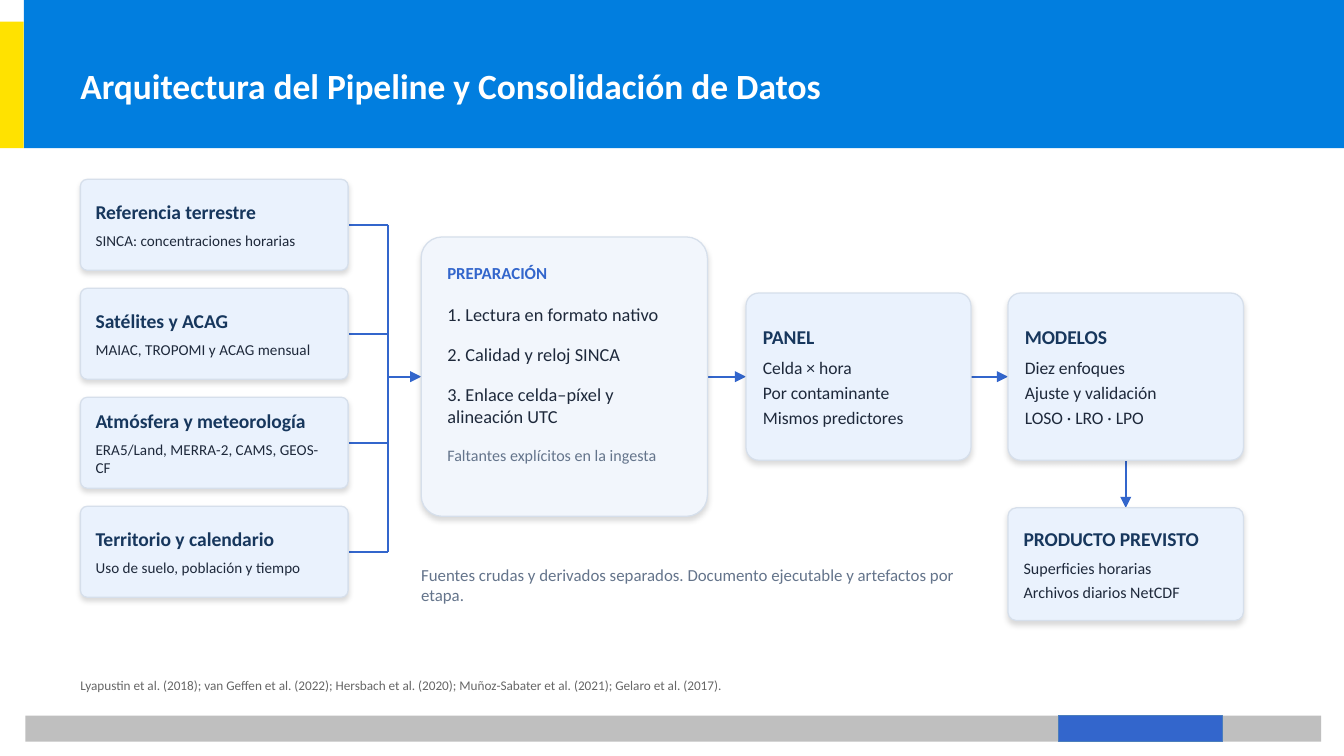
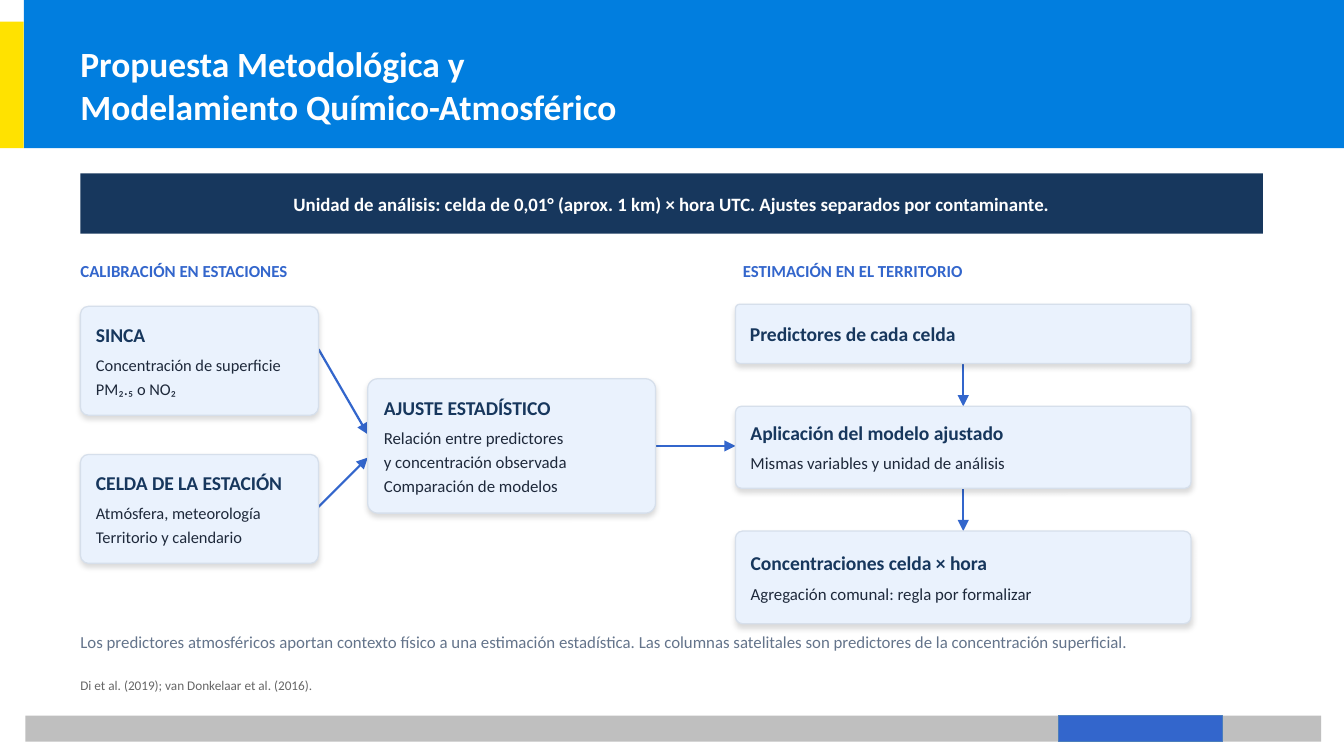
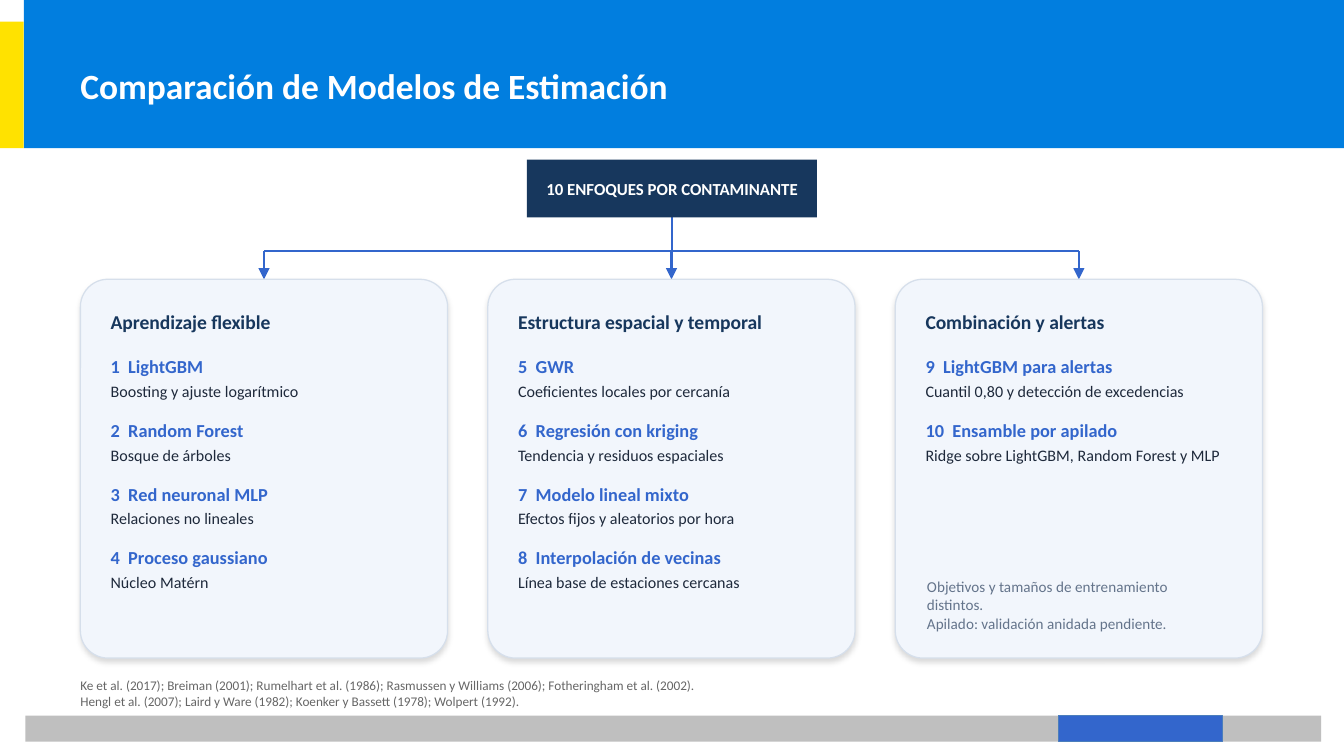
import dataclasses

import lxml.etree
import pptx
import pptx.dml.color
import pptx.enum.shapes
import pptx.enum.text
import pptx.oxml.ns
import pptx.util

Cm = pptx.util.Cm
Pt = pptx.util.Pt
RGBColor = pptx.dml.color.RGBColor
SHAPES = pptx.enum.shapes.MSO_SHAPE
ANCHOR = pptx.enum.text.MSO_ANCHOR
ALIGN = pptx.enum.text.PP_ALIGN
qn = pptx.oxml.ns.qn

# Shared style
FONT = "Calibri"
WHITE = RGBColor(0xFF, 0xFF, 0xFF)
BAND_BLUE = RGBColor(0x01, 0x7E, 0xDF)
YELLOW = RGBColor(0xFF, 0xE2, 0x00)
GREY = RGBColor(0xBF, 0xBF, 0xBF)
ACCENT = RGBColor(0x33, 0x66, 0xCC)
TAB_EDGE = RGBColor(0x4B, 0x7E, 0xBC)
NAVY = RGBColor(0x17, 0x37, 0x5D)
INK = RGBColor(0x1E, 0x29, 0x3B)
SLATE = RGBColor(0x64, 0x74, 0x8B)
REFERENCE = RGBColor(0x66, 0x66, 0x66)
CARD_FILL = RGBColor(0xEA, 0xF2, 0xFD)
PANEL_FILL = RGBColor(0xF2, 0xF6, 0xFC)
CARD_EDGE = RGBColor(0xD6, 0xDF, 0xEB)
LEFT = 1.52
CARD_INSET = 0.25


@dataclasses.dataclass
class Area:
    """A rectangle in centimetres."""
    left: float
    top: float
    width: float
    height: float

    @property
    def right(self):
        return self.left + self.width

    @property
    def bottom(self):
        return self.top + self.height

    @property
    def center(self):
        return self.left + self.width / 2

    @property
    def middle(self):
        return self.top + self.height / 2

    def lengths(self):
        return [Cm(value) for value in dataclasses.astuple(self)]


# Content: pipeline
PIPELINE_TITLE = ["Arquitectura del Pipeline y Consolidación de Datos"]
SOURCES = [
    ("Referencia terrestre", ["SINCA: concentraciones horarias"]),
    ("Satélites y ACAG", ["MAIAC, TROPOMI y ACAG mensual"]),
    ("Atmósfera y meteorología", ["ERA5/Land, MERRA-2, CAMS, GEOS-CF"]),
    ("Territorio y calendario", ["Uso de suelo, población y tiempo"]),
]
PREPARATION = "PREPARACIÓN"
PREPARATION_STEPS = [
    "1. Lectura en formato nativo",
    "2. Calidad y reloj SINCA",
    "3. Enlace celda–píxel y alineación UTC",
]
PREPARATION_NOTE = "Faltantes explícitos en la ingesta"
PANEL = ("PANEL", ["Celda × hora", "Por contaminante", "Mismos predictores"])
MODELS = ("MODELOS", ["Diez enfoques", "Ajuste y validación", "LOSO · LRO · LPO"])
PRODUCT = ("PRODUCTO PREVISTO", ["Superficies horarias", "Archivos diarios NetCDF"])
PIPELINE_NOTE = ("Fuentes crudas y derivados separados. "
                 "Documento ejecutable y artefactos por etapa.")
PIPELINE_REFERENCES = [
    "Lyapustin et al. (2018); van Geffen et al. (2022); Hersbach et al. (2020); "
    "Muñoz-Sabater et al. (2021); Gelaro et al. (2017).",
]

# Content: method
METHOD_TITLE = ["Propuesta Metodológica y", "Modelamiento Químico-Atmosférico"]
UNIT = ("Unidad de análisis: celda de 0,01° (aprox. 1 km) × hora UTC. "
        "Ajustes separados por contaminante.")
CALIBRATION = "CALIBRACIÓN EN ESTACIONES"
ESTIMATION = "ESTIMACIÓN EN EL TERRITORIO"
STATION = ("SINCA", ["Concentración de superficie", "PM₂.₅ o NO₂"])
STATION_CELL = ("CELDA DE LA ESTACIÓN",
                ["Atmósfera, meteorología", "Territorio y calendario"])
FIT = ("AJUSTE ESTADÍSTICO", ["Relación entre predictores",
                              "y concentración observada",
                              "Comparación de modelos"])
ESTIMATION_STEPS = [  # height, card
    (1.12, ("Predictores de cada celda", [])),
    (1.55, ("Aplicación del modelo ajustado", ["Mismas variables y unidad de análisis"])),
    (1.75, ("Concentraciones celda × hora", ["Agregación comunal: regla por formalizar"])),
]
METHOD_NOTE = ("Los predictores atmosféricos aportan contexto físico a una estimación "
               "estadística. Las columnas satelitales son predictores de la "
               "concentración superficial.")
METHOD_REFERENCES = ["Di et al. (2019); van Donkelaar et al. (2016)."]

# Content: model comparison
COMPARISON_TITLE = ["Comparación de Modelos de Estimación"]
APPROACHES = "10 ENFOQUES POR CONTAMINANTE"
FAMILIES = [
    ("Aprendizaje flexible", [
        ("1  LightGBM", "Boosting y ajuste logarítmico"),
        ("2  Random Forest", "Bosque de árboles"),
        ("3  Red neuronal MLP", "Relaciones no lineales"),
        ("4  Proceso gaussiano", "Núcleo Matérn"),
    ]),
    ("Estructura espacial y temporal", [
        ("5  GWR", "Coeficientes locales por cercanía"),
        ("6  Regresión con kriging", "Tendencia y residuos espaciales"),
        ("7  Modelo lineal mixto", "Efectos fijos y aleatorios por hora"),
        ("8  Interpolación de vecinas", "Línea base de estaciones cercanas"),
    ]),
    ("Combinación y alertas", [
        ("9  LightGBM para alertas", "Cuantil 0,80 y detección de excedencias"),
        ("10  Ensamble por apilado", "Ridge sobre LightGBM, Random Forest y MLP"),
    ]),
]
COMPARISON_NOTES = ["Objetivos y tamaños de entrenamiento distintos.",
                    "Apilado: validación anidada pendiente."]
COMPARISON_REFERENCES = [
    "Ke et al. (2017); Breiman (2001); Rumelhart et al. (1986); "
    "Rasmussen y Williams (2006); Fotheringham et al. (2002).",
    "Hengl et al. (2007); Laird y Ware (1982); Koenker y Bassett (1978); Wolpert (1992).",
]


# Drawing helpers
def write(box, text, size=9, color=INK, bold=False, after=0, align=ALIGN.LEFT):
    """Put text in the empty first paragraph, or in a new one."""
    frame = box.text_frame
    para = frame.paragraphs[0] if not frame.text else frame.add_paragraph()
    para.alignment = align
    para.space_after = Pt(after)
    span = para.add_run()
    span.text = text
    span.font.name = FONT
    span.font.size = Pt(size)
    span.font.bold = bold
    span.font.color.rgb = color


def prepare_frame(box, inset, anchor):
    frame = box.text_frame
    frame.word_wrap = True
    frame.vertical_anchor = anchor
    frame.margin_left = frame.margin_right = Cm(inset)
    frame.margin_top = frame.margin_bottom = Cm(inset)


def add_text(page, area, lines, anchor=ANCHOR.TOP, **style):
    box = page.shapes.add_textbox(*area.lengths())
    prepare_frame(box, 0, anchor)
    for line in lines:
        write(box, line, **style)


def add_block(page, area, fill, edge=None, edge_width=0.75, kind=SHAPES.RECTANGLE,
              inset=CARD_INSET, anchor=ANCHOR.MIDDLE):
    box = page.shapes.add_shape(kind, *area.lengths())
    box.fill.solid()
    box.fill.fore_color.rgb = fill
    if edge is None:
        box.line.fill.background()
    else:
        box.line.color.rgb = edge
        box.line.width = Pt(edge_width)
    box.shadow.inherit = False
    prepare_frame(box, inset, anchor)
    return box


def add_rounded(page, area, fill, **layout):
    """Rounded block with a soft shadow below it."""
    box = add_block(page, area, fill, CARD_EDGE, 0.68, SHAPES.ROUNDED_RECTANGLE, **layout)
    box.adjustments[0] = 0.075
    effects = box._element.spPr.find(qn("a:effectLst"))
    shadow = lxml.etree.SubElement(
        effects, qn("a:outerShdw"), blurRad=str(Pt(3)), dist=str(Pt(1.8)),
        dir="5400000", algn="t", rotWithShape="0")
    black = lxml.etree.SubElement(shadow, qn("a:srgbClr"), val="000000")
    lxml.etree.SubElement(black, qn("a:alpha"), val="14000")
    return box


def add_card(page, area, card, size=9):
    heading, details = card
    box = add_rounded(page, area, CARD_FILL)
    write(box, heading, size=10.5, color=NAVY, bold=True, after=4.5)
    for detail in details:
        write(box, detail, size=size, after=2.2)


def add_banner(page, area, text, size):
    write(add_block(page, area, NAVY), text, size=size, color=WHITE, bold=True,
          align=ALIGN.CENTER)


def add_line(page, start, end, arrow=False):
    line = page.shapes.add_connector(
        pptx.enum.shapes.MSO_CONNECTOR.STRAIGHT, *[Cm(value) for value in start + end])
    line.line.color.rgb = ACCENT
    line.line.width = Pt(1.2)
    properties = line._element.spPr
    if arrow:
        lxml.etree.SubElement(properties.find(qn("a:ln")), qn("a:tailEnd"), type="triangle")
    lxml.etree.SubElement(properties, qn("a:effectLst"))


def add_page(deck, title, references):
    """Page with bands, title, footer and references."""
    page = deck.slides.add_slide(deck.slide_layouts[6])
    add_block(page, Area(0.45, 0, 24.95, 2.8), BAND_BLUE)
    add_block(page, Area(0, 0.41, 0.45, 2.39), YELLOW)
    add_block(page, Area(0.48, 13.53, 24.49, 0.49), GREY)
    add_block(page, Area(20.01, 13.53, 3.1, 0.49), ACCENT, TAB_EDGE)
    add_text(page, Area(LEFT, 0.41, 22.35, 2.39), title, anchor=ANCHOR.MIDDLE,
             size=19, color=WHITE, bold=True)
    add_text(page, Area(LEFT, 12.81, 22.48, 0.63), references, size=7.1, color=REFERENCE)
    return page


# Pages
def build_pipeline(deck):
    page = add_page(deck, PIPELINE_TITLE, PIPELINE_REFERENCES)
    sources = [Area(LEFT, 3.39 + 2.06 * row, 5.06, 1.72) for row in range(len(SOURCES))]
    preparation = Area(7.96, 4.48, 5.41, 5.28)
    panel = Area(14.1, 5.54, 4.25, 3.16)
    models = Area(19.05, 5.54, 4.45, 3.16)
    product = Area(19.05, 9.6, 4.45, 2.13)

    # Sources meet on a bus, then the stages follow
    bus = 7.34
    flow = preparation.middle
    for source in sources:
        add_line(page, (source.right, source.middle), (bus, source.middle))
    add_line(page, (bus, sources[0].middle), (bus, sources[-1].middle))
    stops = [(bus, preparation.left), (preparation.right, panel.left),
             (panel.right, models.left)]
    for start, end in stops:
        add_line(page, (start, flow), (end, flow), arrow=True)
    add_line(page, (models.center, models.bottom), (product.center, product.top), arrow=True)

    for area, source in zip(sources, SOURCES):
        add_card(page, area, source, size=8.1)
    box = add_rounded(page, preparation, PANEL_FILL, inset=0.38, anchor=ANCHOR.TOP)
    write(box, PREPARATION, color=ACCENT, bold=True, after=10.5)
    for step in PREPARATION_STEPS:
        write(box, step, size=9.8, after=9.8)
    write(box, PREPARATION_NOTE, size=8.6, color=SLATE)
    add_card(page, panel, PANEL, size=9.4)
    add_card(page, models, MODELS, size=9.4)
    add_card(page, product, PRODUCT, size=8.6)
    add_text(page, Area(preparation.left, 10.67, 10.39, 1.22), [PIPELINE_NOTE], color=SLATE)


def build_method(deck):
    page = add_page(deck, METHOD_TITLE, METHOD_REFERENCES)
    add_banner(page, Area(LEFT, 3.28, 22.35, 1.14), UNIT, 10.1)
    for left, heading in [(LEFT, CALIBRATION), (14.04, ESTIMATION)]:
        add_text(page, Area(left, 4.93, 9.5, 0.6), [heading], color=ACCENT, bold=True)

    station = Area(LEFT, 5.79, 4.5, 2.06)
    cell = Area(LEFT, 8.59, 4.5, 2.06)
    fit = Area(6.95, 7.16, 5.44, 2.54)
    steps = []
    top = 5.75
    for height, _ in ESTIMATION_STEPS:
        steps.append(Area(13.9, top, 8.61, height))
        top += height + 0.81

    add_line(page, (station.right, 6.6), (fit.left, fit.middle - 0.22), arrow=True)
    add_line(page, (cell.right, 9.58), (fit.left, fit.middle + 0.22), arrow=True)
    add_line(page, (fit.right, fit.middle), (steps[1].left, fit.middle), arrow=True)
    for upper, lower in zip(steps, steps[1:]):
        add_line(page, (upper.center, upper.bottom), (lower.center, lower.top), arrow=True)

    add_card(page, station, STATION, size=8.8)
    add_card(page, cell, STATION_CELL, size=8.8)
    add_card(page, fit, FIT)
    for area, (_, card) in zip(steps, ESTIMATION_STEPS):
        add_card(page, area, card)
    add_text(page, Area(LEFT, 11.94, 22.3, 0.99), [METHOD_NOTE], color=SLATE)


def build_comparison(deck):
    page = add_page(deck, COMPARISON_TITLE, COMPARISON_REFERENCES)
    root = Area(9.96, 3.02, 5.48, 1.09)
    columns = [Area(LEFT + 7.7 * index, 5.28, 6.94, 7.16) for index in range(len(FAMILIES))]

    # Tree from the root to each family
    branch = 4.75
    add_line(page, (root.center, root.bottom), (root.center, branch))
    add_line(page, (columns[0].center, branch), (columns[-1].center, branch))
    for column in columns:
        add_line(page, (column.center, branch), (column.center, column.top), arrow=True)

    add_banner(page, root, APPROACHES, 9)
    for column, (family, models) in zip(columns, FAMILIES):
        box = add_rounded(page, column, PANEL_FILL, inset=0.42, anchor=ANCHOR.TOP)
        write(box, family, size=10.5, color=NAVY, bold=True, after=12)
        for name, description in models:
            write(box, name, size=9.8, color=ACCENT, bold=True, after=2.2)
            write(box, description, size=8.6, after=9.8)
    add_text(page, Area(17.52, 10.92, 5.49, 1.4), COMPARISON_NOTES, size=8.1, color=SLATE)


def main():
    deck = pptx.Presentation()
    deck.slide_width = Cm(25.4)
    deck.slide_height = Cm(14.29)
    build_pipeline(deck)
    build_method(deck)
    build_comparison(deck)
    deck.save("out.pptx")


if __name__ == "__main__":
    main()
